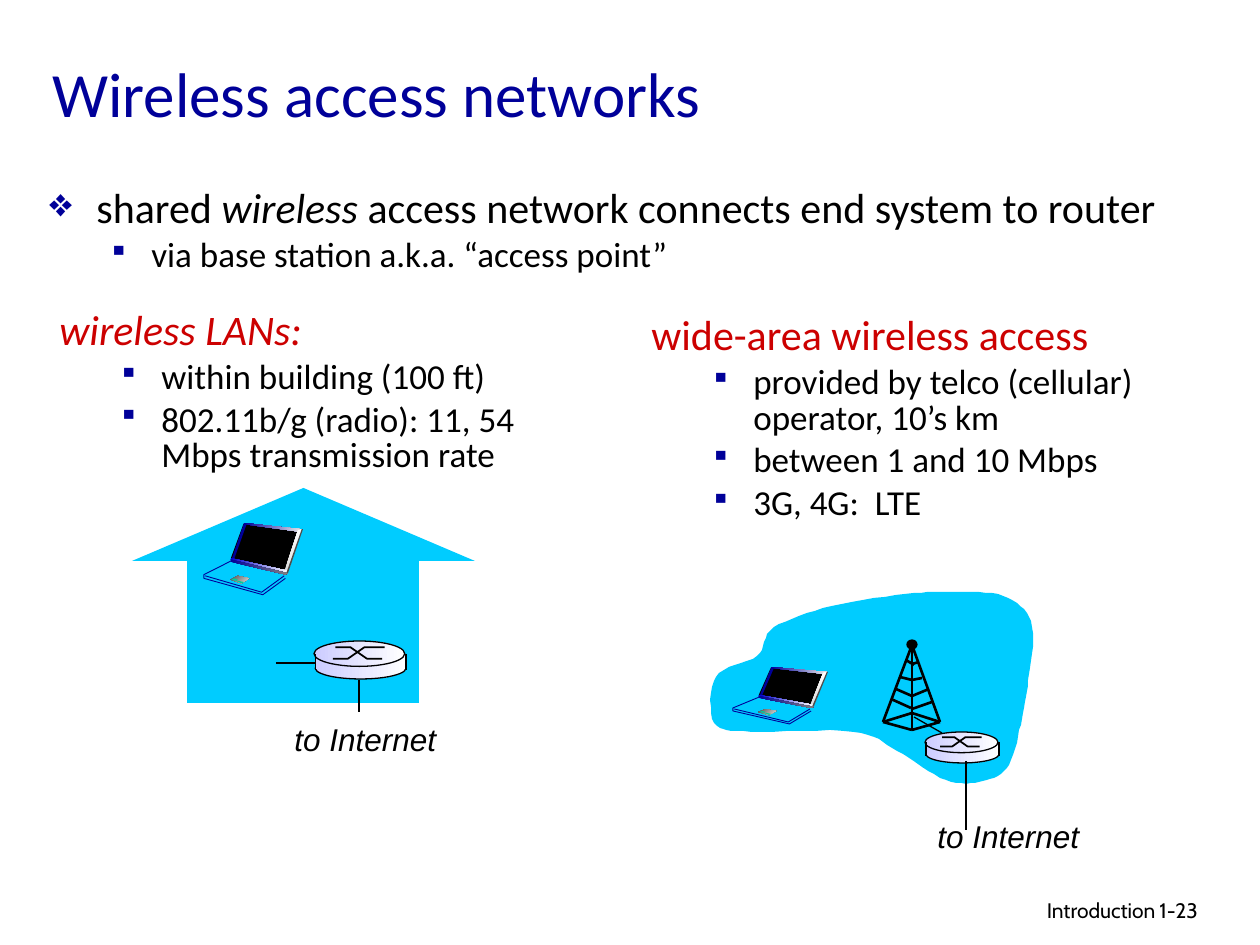
from lxml.etree import SubElement
from pptx import Presentation
from pptx.dml.color import RGBColor
from pptx.enum.shapes import MSO_CONNECTOR, MSO_SHAPE
from pptx.enum.text import MSO_ANCHOR, PP_ALIGN
from pptx.oxml.ns import qn
from pptx.util import Pt

PX = 914400 / 126
BLACK = RGBColor(0, 0, 0)
WHITE = RGBColor(255, 255, 255)
NAVY = RGBColor(0, 0, 0x99)
BLUE = RGBColor(0, 0, 0xCC)
RED = RGBColor(0xCC, 0, 0)
SKY = RGBColor(0, 0xCC, 0xFF)
LILAC = RGBColor(0xCC, 0xCC, 0xFF)
TEAL = RGBColor(0, 0xCC, 0x99)
DARK = RGBColor(0x4D, 0x4D, 0x4D)
GREY = RGBColor(0x80, 0x80, 0x80)
LIGHT = RGBColor(0xDD, 0xDD, 0xDD)
PALE = RGBColor(0xEA, 0xEA, 0xEA)
METAL = (LILAC, WHITE, 0)

deck = Presentation()
deck.slide_width = round(1260 * PX)
deck.slide_height = round(945 * PX)
slide = deck.slides.add_slide(deck.slide_layouts[6])
shapes = slide.shapes


def paint(shape, fill, line=None, width=0.75):
    """Fill with a colour, a (first, last, angle) gradient or nothing."""
    shape.shadow.inherit = False
    if fill is None:
        shape.fill.background()
    elif isinstance(fill, RGBColor):
        shape.fill.solid()
        shape.fill.fore_color.rgb = fill
    else:
        shape.fill.gradient()
        shape.fill.gradient_angle = fill[2]
        for stop, color in zip(shape.fill.gradient_stops, fill):
            stop.color.rgb = color
    if line is None:
        shape.line.fill.background()
    else:
        shape.line.color.rgb = line
        shape.line.width = Pt(width)


def outline(points, closed=True, scale=(PX, PX), left=0, top=0):
    pen = shapes.build_freeform(*points[0], scale=scale)
    pen.add_line_segments(points[1:], close=closed)
    return pen.convert_to_shape(round(left * PX), round(top * PX))


# House and cloud
for kind, box in [
    (MSO_SHAPE.RECTANGLE, (187, 548, 232, 155)),
    (MSO_SHAPE.ISOSCELES_TRIANGLE, (132, 488, 343, 73)),
]:
    paint(shapes.add_shape(kind, *[round(v * PX) for v in box]), SKY)

start = (914, 593)
curves = [
    ((893, 596), (856, 600), (832, 606)), ((809, 612), (786, 620), (774, 627)),
    ((761, 636), (767, 649), (757, 656)), ((747, 665), (723, 665), (716, 677)),
    ((709, 687), (709, 713), (714, 723)), ((721, 732), (728, 730), (751, 732)),
    ((774, 733), (829, 728), (853, 732)), ((878, 735), (882, 742), (897, 751)),
    ((912, 759), (931, 775), (946, 780)), ((960, 785), (973, 784), (983, 781)),
    ((993, 779), (1003, 775), (1009, 765)), ((1016, 753), (1018, 733), (1022, 719)),
    ((1024, 704), (1028, 690), (1029, 674)), ((1031, 659), (1036, 635), (1031, 621)),
    ((1027, 609), (1016, 601), (1003, 596)), ((990, 591), (969, 592), (954, 592)),
    ((939, 591), (934, 592), start),
]
STEPS = 8
cloud = [start]
for curve in curves:
    nodes = (cloud[-1], *curve)
    for step in range(1, STEPS + 1):
        t = step / STEPS
        parts = ((1 - t) ** 3, 3 * t * (1 - t) ** 2, 3 * t * t * (1 - t), t ** 3)
        cloud.append(tuple(sum(p * n[axis] for p, n in zip(parts, nodes))
                           for axis in (0, 1)))
paint(outline(cloud), SKY)

# Laptops, drawn on a grid of 79 by 58
panels = [
    ([(32, 1), (22, 28), (66, 39), (77, 6)], BLACK, BLACK),
    ([(32, 0), (78, 5), (77, 7), (32, 1)], (NAVY, PALE, 0), None),
    ([(32, 0), (22, 29), (24, 29), (34, 1)], NAVY, None),
    ([(78, 5), (67, 39), (64, 39), (75, 6)], (LIGHT, WHITE, 90), None),
    ([(22, 28), (21, 29), (66, 39), (67, 38)], (BLUE, WHITE, 0), None),
    ([(78, 5), (79, 5), (67, 40), (66, 39)], DARK, None),
    ([(21, 29), (22, 31), (65, 41), (67, 40)], (NAVY, GREY, 0), None),
    ([(27, 42), (36, 44), (30, 48), (21, 45)], (DARK, LIGHT, 315), None),
    ([(22, 45), (24, 44), (27, 45), (26, 46)], TEAL, None),
    ([(26, 46), (28, 46), (32, 47), (30, 48)], TEAL, None),
]
edges = [
    [(22, 30), (0, 41), (0, 44), (47, 57), (65, 44)],
    [(1, 42), (46, 55), (64, 42)],
]
for left, top, wide, high in [(204, 523, 99, 73), (733, 667, 95, 58)]:
    grid = (wide * PX / 79, high * PX / 58)
    for points, fill, line in panels:
        paint(outline(points, True, grid, left, top), fill, line)
    for points in edges:
        paint(outline(points, False, grid, left, top), None, NAVY, 0.5)

# Tower, links and routers; each line is (from, to, width)
top, west, east = (912, 645), (883, 722), (940, 722)
front, back = (912, 730), (912, 713)
struts = [
    (top, west), (top, east), (top, front), (west, front), (east, front),
    (west, back), (east, back),
    ((896, 689), (912, 696)), ((912, 696), (929, 689)),
    ((891, 699), (911, 708)), ((912, 709), (932, 702)),
    ((900, 677), (912, 680)), ((912, 680), (922, 678)),
    ((906, 660), (914, 665)), ((912, 664), (919, 662)),
]
links = [
    ((359, 680), (359, 712)), ((276, 663), (316, 663)),
    ((914, 717), (942, 733)), ((966, 761), (966, 830)),
]
lines = [(*ends, 1.5) for ends in struts] + [(*ends, 0.75) for ends in links]

knob = shapes.add_shape(MSO_SHAPE.OVAL, *[round(v * PX) for v in (907, 640, 10, 9)])
paint(knob, BLACK, BLACK)

# Routers, drawn on a grid of 73 by 30
for left, top, wide, high in [(314, 641, 92, 38), (925, 732, 74, 31)]:
    sx, sy = wide / 73, high / 30
    for kind, (x, y, w, h), line in [
        (MSO_SHAPE.OVAL, (1, 13, 72, 17), BLACK),
        (MSO_SHAPE.RECTANGLE, (1, 11, 72, 11), None),
        (MSO_SHAPE.OVAL, (0, 0, 72, 20), BLACK),
    ]:
        part = shapes.add_shape(kind, round((left + x * sx) * PX), round((top + y * sy) * PX),
                                round(w * sx * PX), round(h * sy * PX))
        paint(part, METAL, line)
    for points in [
        [(15, 14), (27, 14), (40, 5), (56, 5)],
        [(17, 5), (29, 5), (42, 14), (54, 14)],
    ]:
        paint(outline(points, False, (sx * PX, sy * PX), left, top), None, BLACK, 1)
    for x in (1, 73):
        side = left + x * sx
        lines.append(((side, top + 10 * sy), (side, top + 23 * sy), 0.75))

for head, tail, width in lines:
    link = shapes.add_connector(MSO_CONNECTOR.STRAIGHT,
                                *[round(v * PX) for v in (*head, *tail)])
    link.line.color.rgb = BLACK
    link.line.width = Pt(width)
    SubElement(link._element.spPr, qn("a:effectLst"))

# Text: each paragraph is (text, style), with italics between stars
styles = {  # size, font, colour, bullet, bullet percent, margin, hang
    "title": (36, "Calibri", NAVY, None, 0, 0, 0),
    "point": (24, "Calibri", BLACK, "❖", 95, 47, 47),
    "head": (24, "Calibri", RED, None, 0, 48, 48),
    "item": (20, "Calibri", BLACK, "▪", 80, 102, 43),
    "label": (18, "Arial", BLACK, None, 0, 0, 0),
    "foot": (12, "Cabin", BLACK, None, 0, 0, 0),
}
texts = [
    ((769, 891, 399, 39), [("Introduction", "foot")]),
    ((1147, 891, 93, 38), [("1-23", "foot")]),
    ((40, 24, 1155, 136), [("Wireless access networks", "title")]),
    ((37, 183, 1153, 120), [
        ("shared *wireless* access network connects end system to router", "point"),
        ("via base station a.k.a. “access point”", "item")]),
    ((47, 305, 562, 189), [
        ("*wireless LANs:*", "head"),
        ("within building (100 ft)", "item"),
        ("802.11b/g (radio): 11, 54 Mbps transmission rate", "item")]),
    ((639, 310, 615, 302), [
        ("wide-area wireless access", "head"),
        ("provided by telco (cellular) operator, 10’s km", "item"),
        ("between 1 and 10 Mbps", "item"),
        ("3G, 4G:  LTE", "item")]),
    ((282, 714, 168, 50), [("*to Internet*", "label")]),
    ((925, 811, 168, 50), [("*to Internet*", "label")]),
]
for box, paras in texts:
    frame = shapes.add_textbox(*[round(v * PX) for v in box]).text_frame
    frame.word_wrap = paras[0][1] != "label"
    if paras[0][1] == "title":
        frame.vertical_anchor = MSO_ANCHOR.MIDDLE
    for row, (text, style) in enumerate(paras):
        size, font, color, bullet, percent, margin, hang = styles[style]
        para = frame.paragraphs[0] if row == 0 else frame.add_paragraph()
        if text == "Introduction":
            para.alignment = PP_ALIGN.RIGHT
        if margin:
            props = para._p.get_or_add_pPr()
            props.set("marL", str(round(margin * PX)))
            props.set("indent", str(round(-hang * PX)))
            para.line_spacing = 0.85
            if row:
                para.space_before = Pt(size * 0.2)
            if bullet:
                tint = SubElement(props, qn("a:buClr"))
                SubElement(tint, qn("a:srgbClr"), val=str(NAVY))
                SubElement(props, qn("a:buSzPct"), val=str(percent * 1000))
                SubElement(props, qn("a:buChar"), char=bullet)
        for turn, part in enumerate(text.split("*")):
            if part:
                run = para.add_run()
                run.text = part
                run.font.size = Pt(size)
                run.font.name = font
                run.font.color.rgb = color
                run.font.italic = turn % 2 == 1

deck.save("out.pptx")
